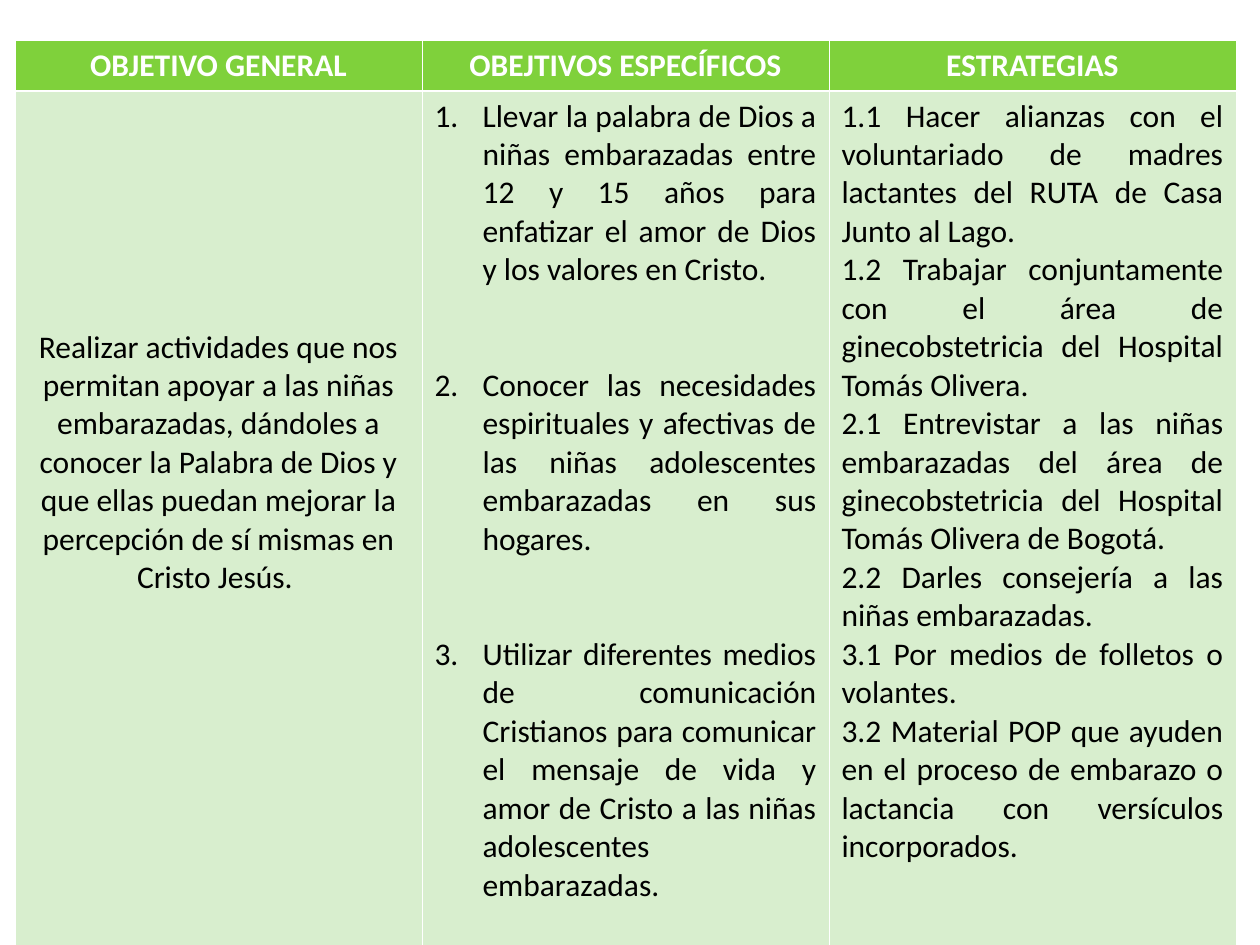
"""Build a slide with a table of objectives and strategies."""
from dataclasses import dataclass

from lxml.etree import SubElement
from pptx import Presentation
from pptx.dml.color import RGBColor
from pptx.enum.text import PP_ALIGN
from pptx.oxml import parse_xml
from pptx.oxml.ns import nsdecls, qn
from pptx.table import _Cell
from pptx.util import Emu, Pt

PX_PER_INCH = 126
COLUMN_WIDTH = 407
ROW_HEIGHTS = (51, 854)
NUMBER_INDENT = 48
BLANK_LINE = 22
THIN, THICK = 0.45, 1.47


@dataclass(frozen=True)
class CellStyle:
    fill: str
    color: str
    bold: bool
    top: float
    bottom: float


@dataclass(frozen=True)
class Column:
    title: str
    items: tuple[str, ...]
    align: PP_ALIGN = PP_ALIGN.JUSTIFY
    numbered: bool = False
    item_gap: int = 0
    margin_top: int = 6


HEADER = CellStyle("7FD13B", "FFFFFF", True, THIN, THICK)
BODY = CellStyle("D8EECE", "000000", False, THICK, THIN)

COLUMNS = (
    Column(
        "OBJETIVO GENERAL",
        ("Realizar actividades que nos permitan apoyar a las niñas embarazadas, "
         "dándoles a conocer la Palabra de Dios y que ellas puedan mejorar la "
         "percepción de sí mismas en Cristo Jesús. ",),
        align=PP_ALIGN.CENTER,
        margin_top=237,
    ),
    Column(
        "OBEJTIVOS ESPECÍFICOS",
        ("Llevar la palabra de Dios a niñas embarazadas entre 12 y 15 años para "
         "enfatizar el amor de Dios y los valores en Cristo.",
         "Conocer las necesidades espirituales y afectivas de las niñas "
         "adolescentes embarazadas en sus hogares.",
         "Utilizar diferentes medios de comunicación Cristianos para comunicar "
         "el mensaje de vida y amor de Cristo a las niñas adolescentes "
         "embarazadas."),
        numbered=True,
        item_gap=2 * BLANK_LINE,
    ),
    Column(
        "ESTRATEGIAS",
        ("1.1 Hacer alianzas con el voluntariado de madres lactantes del RUTA "
         "de Casa Junto al Lago.",
         "1.2 Trabajar conjuntamente con el área de ginecobstetricia del "
         "Hospital Tomás Olivera.",
         "2.1 Entrevistar a las niñas embarazadas del área de ginecobstetricia "
         "del Hospital Tomás Olivera de Bogotá.",
         "2.2 Darles consejería a las niñas embarazadas.",
         "3.1 Por medios de folletos o volantes.",
         "3.2 Material POP que ayuden en el proceso de embarazo o lactancia "
         "con versículos incorporados."),
    ),
)


def px(length: int) -> Emu:
    """Turn pixels into EMU."""
    return Emu(round(length * 914400 / PX_PER_INCH))


def rgb(value: str) -> RGBColor:
    """Turn a hex string into a colour."""
    return RGBColor.from_string(value)


def set_borders(cell: _Cell, style: CellStyle) -> None:
    """Give a cell its white border lines."""
    properties = cell._tc.get_or_add_tcPr()
    widths = {"lnL": THIN, "lnR": THIN, "lnT": style.top, "lnB": style.bottom}
    for index, (side, width) in enumerate(widths.items()):
        properties.insert(index, parse_xml(
            f'<a:{side} {nsdecls("a")} w="{Pt(width)}"><a:solidFill>'
            f'<a:srgbClr val="FFFFFF"/></a:solidFill></a:{side}>'))


def set_number(para, number: int) -> None:
    """Number a paragraph with a hanging indent."""
    properties = para._p.get_or_add_pPr()
    properties.set("marL", str(px(NUMBER_INDENT)))
    properties.set("indent", str(-px(NUMBER_INDENT)))
    SubElement(properties, qn("a:buAutoNum"),
               type="arabicPeriod", startAt=str(number))


def fill_cell(cell: _Cell, texts: tuple[str, ...], style: CellStyle,
              align: PP_ALIGN, gap: int = 0, numbered: bool = False) -> None:
    """Write paragraphs into a cell and style it."""
    cell.fill.solid()
    cell.fill.fore_color.rgb = rgb(style.fill)
    set_borders(cell, style)
    font_format = {"name": "Calibri", "size": Pt(18), "bold": style.bold}
    for index, text in enumerate(texts):
        para = cell.text_frame.paragraphs[0] if index == 0 else cell.text_frame.add_paragraph()
        para.alignment = align
        para.space_before = Pt(gap if index else 0)
        if numbered:
            set_number(para, index + 1)
        span = para.add_run()
        span.text = text
        for name, value in font_format.items():
            setattr(span.font, name, value)
        span.font.color.rgb = rgb(style.color)


def main() -> None:
    """Build and save the deck."""
    deck = Presentation()
    deck.slide_width, deck.slide_height = px(1260), px(945)
    page = deck.slides.add_slide(deck.slide_layouts[6])
    table = page.shapes.add_table(
        len(ROW_HEIGHTS), len(COLUMNS), px(15), px(40),
        px(COLUMN_WIDTH * len(COLUMNS)), px(sum(ROW_HEIGHTS))).table
    for row, height in zip(table.rows, ROW_HEIGHTS):
        row.height = px(height)
    for index, column in enumerate(COLUMNS):
        table.columns[index].width = px(COLUMN_WIDTH)
        fill_cell(table.cell(0, index), (column.title,), HEADER, PP_ALIGN.CENTER)
        body = table.cell(1, index)
        body.margin_top = px(column.margin_top)
        fill_cell(body, column.items, BODY, column.align,
                  column.item_gap, column.numbered)
    deck.save("out.pptx")


if __name__ == "__main__":
    main()
